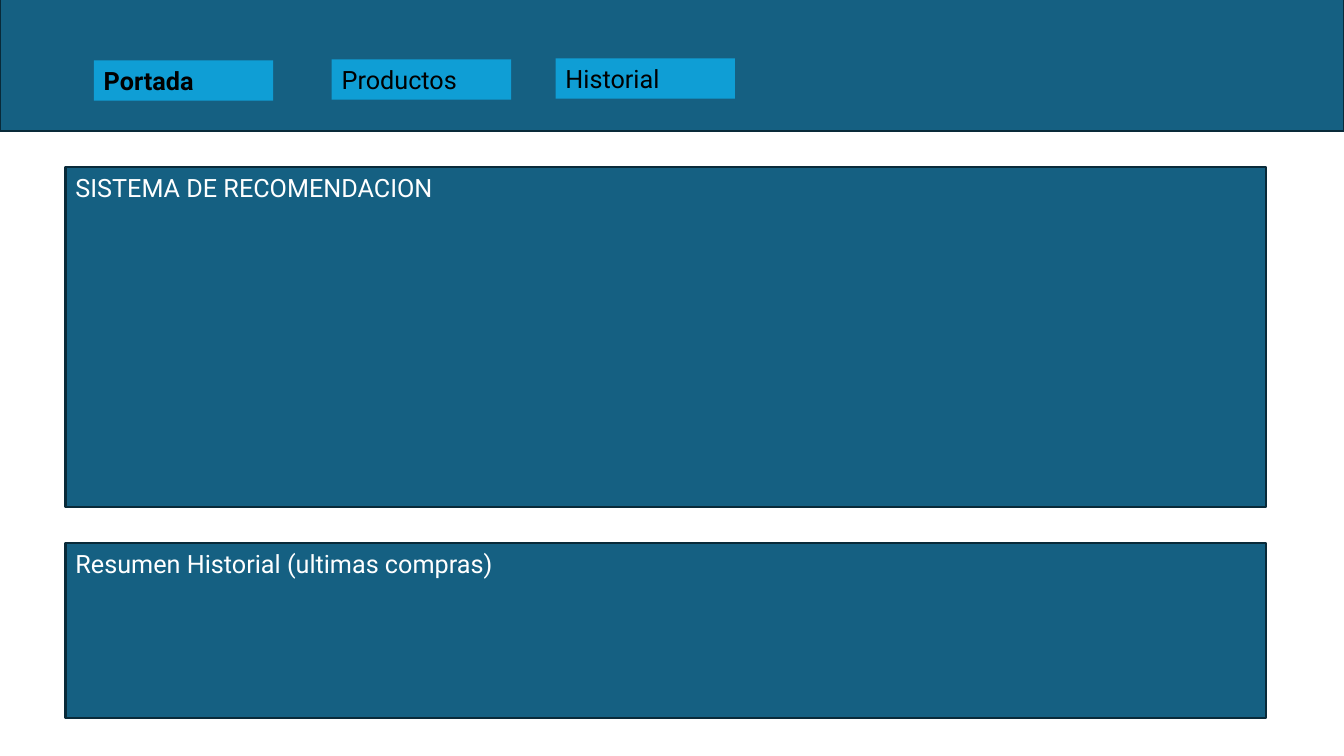
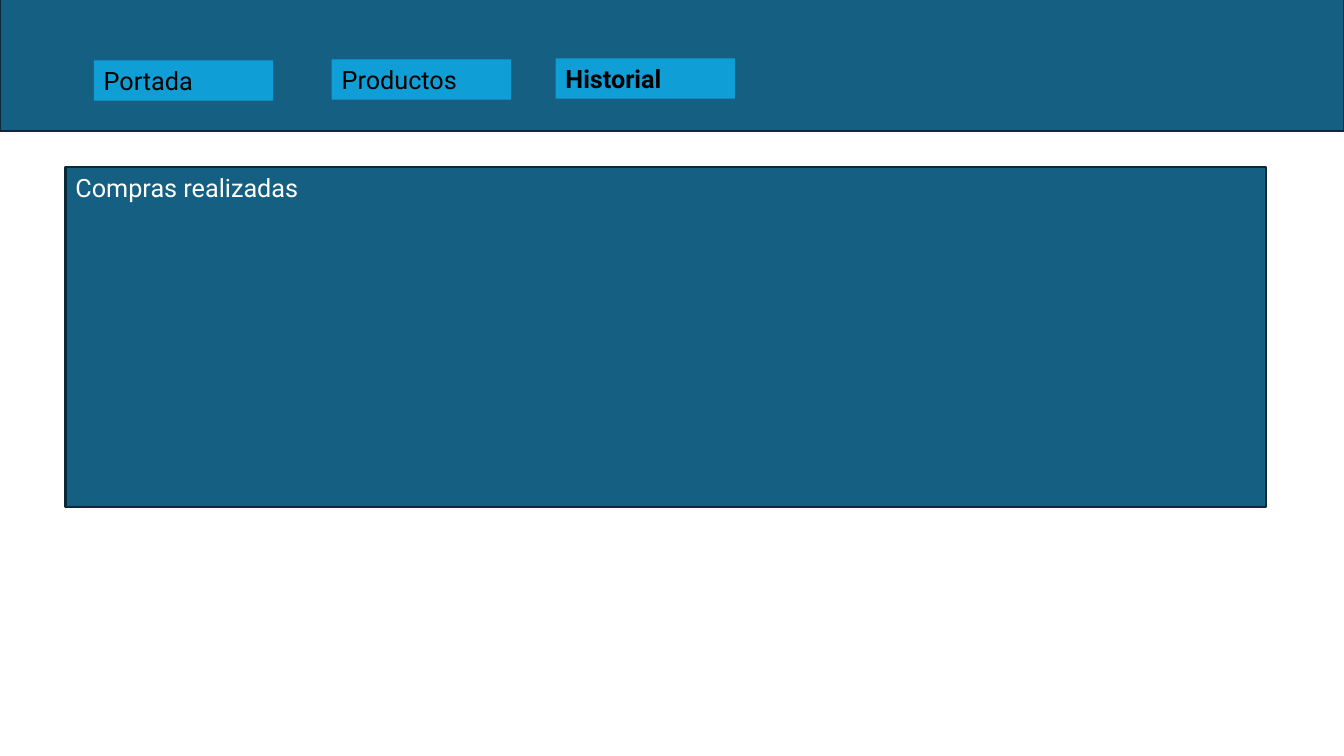
from pptx import Presentation
from pptx import util as u
from pptx.dml import color
from pptx.enum import shapes, text

COLORS = {
    "panel": "156082",
    "outline": "092A39",
    "tab": "0F9ED5",
    "tab_text": "000000",
    "panel_text": "FFFFFF",
}
FONT = "Roboto"
SLIDE_WIDTH, SLIDE_HEIGHT = 13.33, 7.5
TABS = [("Portada", 0.93, 0.6), ("Productos", 3.29, 0.59), ("Historial", 5.51, 0.58)]
TAB_WIDTH, TAB_HEIGHT = 1.78, 0.4
PANEL_LEFT, PANEL_WIDTH = 0.65, 11.91
MAIN_TOP, MAIN_HEIGHT = 1.66, 3.37
PANEL_GAP = 0.36
SUMMARY_HEIGHT = 1.73

SLIDES = [
    ("Portada", [("SISTEMA DE RECOMENDACION", MAIN_HEIGHT),
                 ("Resumen Historial (ultimas compras)", SUMMARY_HEIGHT)]),
    ("Historial", [("Compras realizadas", MAIN_HEIGHT)]),
]


def rgb(name):
    return color.RGBColor.from_string(COLORS[name])


def inches(*lengths):
    return [u.Inches(length) for length in lengths]


def write_label(shape, label, color_name, bold=False):
    frame = shape.text_frame
    frame.word_wrap = True
    frame.vertical_anchor = text.MSO_ANCHOR.TOP
    paragraph = frame.paragraphs[0]
    paragraph.alignment = text.PP_ALIGN.LEFT
    run = paragraph.add_run()
    run.text = label
    run.font.name = FONT
    run.font.size = u.Pt(18)
    run.font.bold = bold
    run.font.color.rgb = rgb(color_name)


def add_block(slide, left, top, width, height):
    shape = slide.shapes.add_shape(
        shapes.MSO_SHAPE.RECTANGLE, *inches(left, top, width, height))
    shape.shadow.inherit = False
    shape.fill.solid()
    shape.fill.fore_color.rgb = rgb("panel")
    shape.line.color.rgb = rgb("outline")
    shape.line.width = u.Pt(1.5)
    return shape


def add_tab(slide, label, left, top, active):
    shape = slide.shapes.add_textbox(*inches(left, top, TAB_WIDTH, TAB_HEIGHT))
    shape.fill.solid()
    shape.fill.fore_color.rgb = rgb("tab")
    write_label(shape, label, "tab_text", active)
    shape.text_frame.auto_size = text.MSO_AUTO_SIZE.SHAPE_TO_FIT_TEXT


def add_header(slide, active_tab):
    add_block(slide, 0, -0.01, SLIDE_WIDTH, 1.31)
    for label, left, top in TABS:
        add_tab(slide, label, left, top, label == active_tab)


def add_panels(slide, panels):
    top = MAIN_TOP
    for label, height in panels:
        panel = add_block(slide, PANEL_LEFT, top, PANEL_WIDTH, height)
        write_label(panel, label, "panel_text")
        top += height + PANEL_GAP


def main():
    presentation = Presentation()
    presentation.slide_width, presentation.slide_height = inches(SLIDE_WIDTH, SLIDE_HEIGHT)
    for active_tab, panels in SLIDES:
        slide = presentation.slides.add_slide(presentation.slide_layouts[6])
        add_header(slide, active_tab)
        add_panels(slide, panels)
    presentation.save("out.pptx")


if __name__ == "__main__":
    main()
